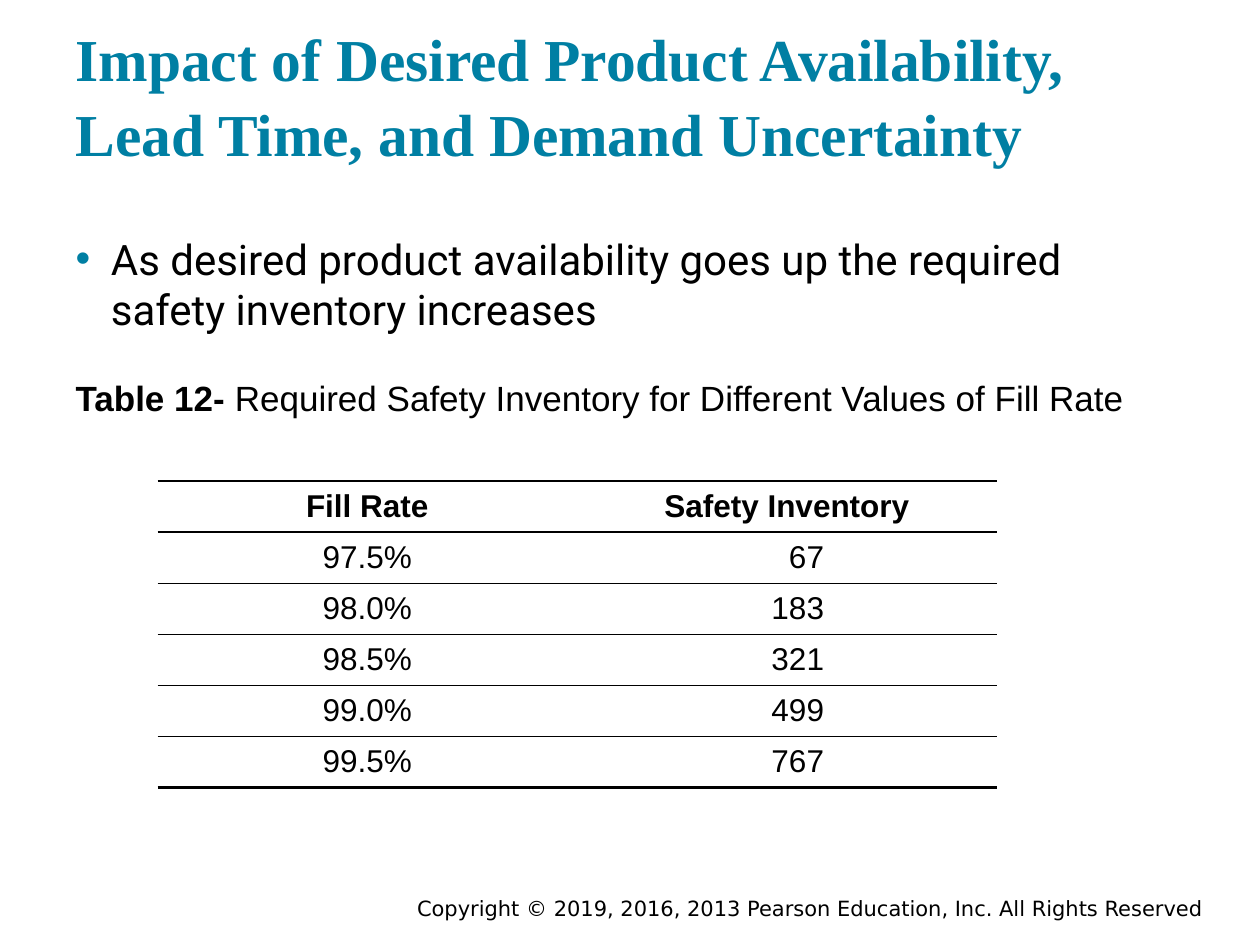
from dataclasses import dataclass

from lxml import etree
from pptx import Presentation
from pptx.dml.color import RGBColor
from pptx.enum import text
from pptx.oxml import ns
from pptx.util import Inches, Pt

BLACK = RGBColor(0x00, 0x00, 0x00)
TEAL = RGBColor(0x00, 0x7F, 0xA3)
LEFT, CENTER, RIGHT = text.PP_ALIGN.LEFT, text.PP_ALIGN.CENTER, text.PP_ALIGN.RIGHT
TOP, MIDDLE, BOTTOM = (text.MSO_ANCHOR.TOP, text.MSO_ANCHOR.MIDDLE,
                       text.MSO_ANCHOR.BOTTOM)


@dataclass
class Style:
    font: str
    size: float
    color: RGBColor = BLACK
    bold: bool = False


@dataclass
class Box:
    left: float
    top: float
    width: float
    height: float
    anchor: text.MSO_ANCHOR = TOP
    margin: float = 0.1


@dataclass
class Row:
    rate: str
    inventory: str
    line_above: float = 1
    line_below: float = 1


ROWS = [
    Row("Fill Rate", "Safety Inventory", 1.5, 1.5),
    Row("97.5%", "67", line_above=1.5),
    Row("98.0%", "183"),
    Row("98.5%", "321"),
    Row("99.0%", "499"),
    Row("99.5%", "767", line_below=2.25),
]


def sub(parent, tag: str, **attrs):
    return etree.SubElement(parent, ns.qn(tag), attrs)


def place(sp, box: Box):
    """Position a shape, set up its text frame and return the first paragraph."""
    for name in ("left", "top", "width", "height"):
        setattr(sp, name, Inches(getattr(box, name)))
    tf = sp.text_frame
    frame = {"word_wrap": True, "auto_size": text.MSO_AUTO_SIZE.NONE,
             "vertical_anchor": box.anchor, "margin_left": Inches(0.1),
             "margin_right": Inches(0.1), "margin_top": Inches(box.margin),
             "margin_bottom": Inches(box.margin)}
    for name, value in frame.items():
        setattr(tf, name, value)
    return tf.paragraphs[0]


def add_run(p, words: str, style: Style) -> None:
    r = p.add_run()
    r.text = words
    values = {"name": style.font, "size": Pt(style.size), "bold": style.bold}
    for name, value in values.items():
        setattr(r.font, name, value)
    r.font.color.rgb = style.color


def format_paragraph(p, align=LEFT, spacing: float = 1.0, bullet: str = "") -> None:
    pPr = p._p.get_or_add_pPr()
    hang = Inches(0.28) if bullet else 0
    pPr.set("marL", str(hang))
    pPr.set("indent", str(-hang))
    if bullet:
        sub(sub(pPr, "a:buClr"), "a:srgbClr", val=str(TEAL))
        sub(pPr, "a:buFont", typeface="Arial")
        sub(pPr, "a:buChar", char=bullet)
    else:
        sub(pPr, "a:buNone")
    p.alignment = align
    p.line_spacing = spacing
    p.space_before = Pt(0)


def set_borders(cell, above: float, below: float) -> None:
    tcPr = cell._tc.get_or_add_tcPr()
    for side in ("a:lnL", "a:lnR"):
        sub(sub(tcPr, side, w="0"), "a:noFill")
    for side, width in (("a:lnT", above), ("a:lnB", below)):
        ln = sub(tcPr, side, w=str(Pt(width)))
        sub(sub(ln, "a:solidFill"), "a:srgbClr", val=str(BLACK))


def fill_cell(cell, words: str, row: Row, style: Style, tab: bool) -> None:
    set_borders(cell, row.line_above, row.line_below)
    cell.fill.background()
    cell.vertical_anchor = MIDDLE
    p = cell.text_frame.paragraphs[0]
    if tab:
        tabs = sub(p._p.get_or_add_pPr(), "a:tabLst")
        sub(tabs, "a:tab", pos=str(Inches(1.86)), algn="r")
    p.alignment = LEFT if tab else CENTER
    add_run(p, "\t" + words if tab else words, style)


def add_fill_rate_table(slide) -> None:
    table = slide.shapes.add_table(len(ROWS), 2, Inches(1.25), Inches(3.82),
                                   Inches(6.66), Inches(2.43)).table
    table.first_row = table.horz_banding = False
    for i, row in enumerate(ROWS):
        header = i == 0
        style = Style("Arial", 18, bold=header)
        fill_cell(table.cell(i, 0), row.rate, row, style, tab=False)
        fill_cell(table.cell(i, 1), row.inventory, row, style, tab=not header)


def main() -> None:
    prs = Presentation()
    prs.slide_width, prs.slide_height = Inches(10), Inches(7.5)
    slide = prs.slides.add_slide(prs.slide_layouts.get_by_name("Two Content"))
    title, body, caption = slide.placeholders

    p = place(title, Box(0.5, 0.09, 9, 1.35, BOTTOM))
    format_paragraph(p, spacing=1.05)
    add_run(p, "Impact of Desired Product Availability, Lead Time, "
               "and Demand Uncertainty", Style("Times New Roman", 34, TEAL, True))

    p = place(body, Box(0.5, 1.75, 9, 1.01))
    format_paragraph(p, bullet="•")
    add_run(p, "As desired product availability goes up the required "
               "safety inventory increases", Style("Roboto", 24))

    p = place(caption, Box(0.5, 2.89, 9, 0.62))
    format_paragraph(p)
    add_run(p, "Table 12- ", Style("Arial", 20, bold=True))
    add_run(p, "Required Safety Inventory for Different Values of Fill Rate",
            Style("Arial", 20))

    add_fill_rate_table(slide)

    p = place(slide.shapes.add_textbox(0, 0, 0, 0),
              Box(3, 7.08, 6.65, 0.25, MIDDLE, margin=0))
    format_paragraph(p, RIGHT)
    add_run(p, "Copyright © 2019, 2016, 2013 Pearson Education, Inc. "
               "All Rights Reserved", Style("DejaVu Sans", 12))

    prs.save("out.pptx")


if __name__ == "__main__":
    main()
